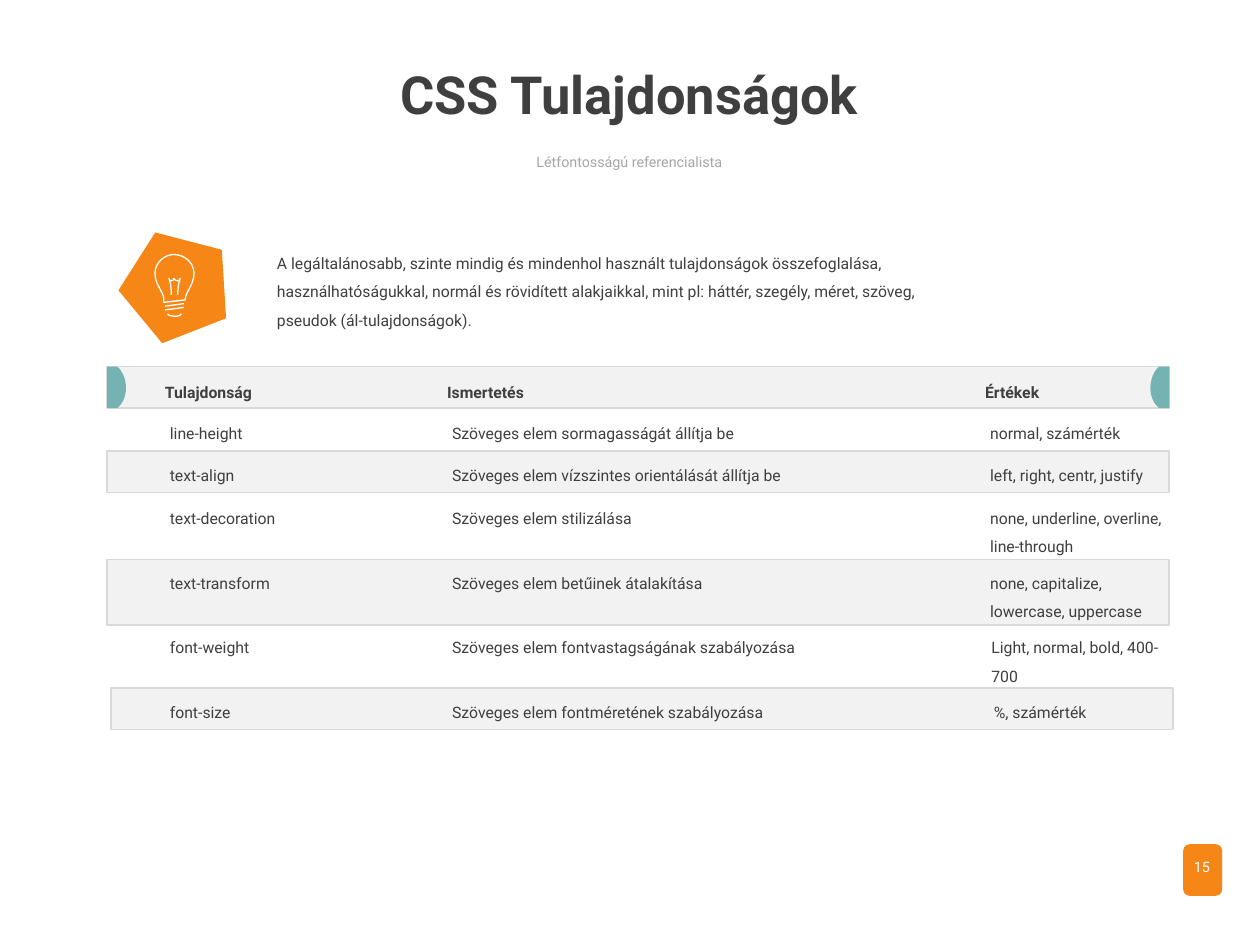
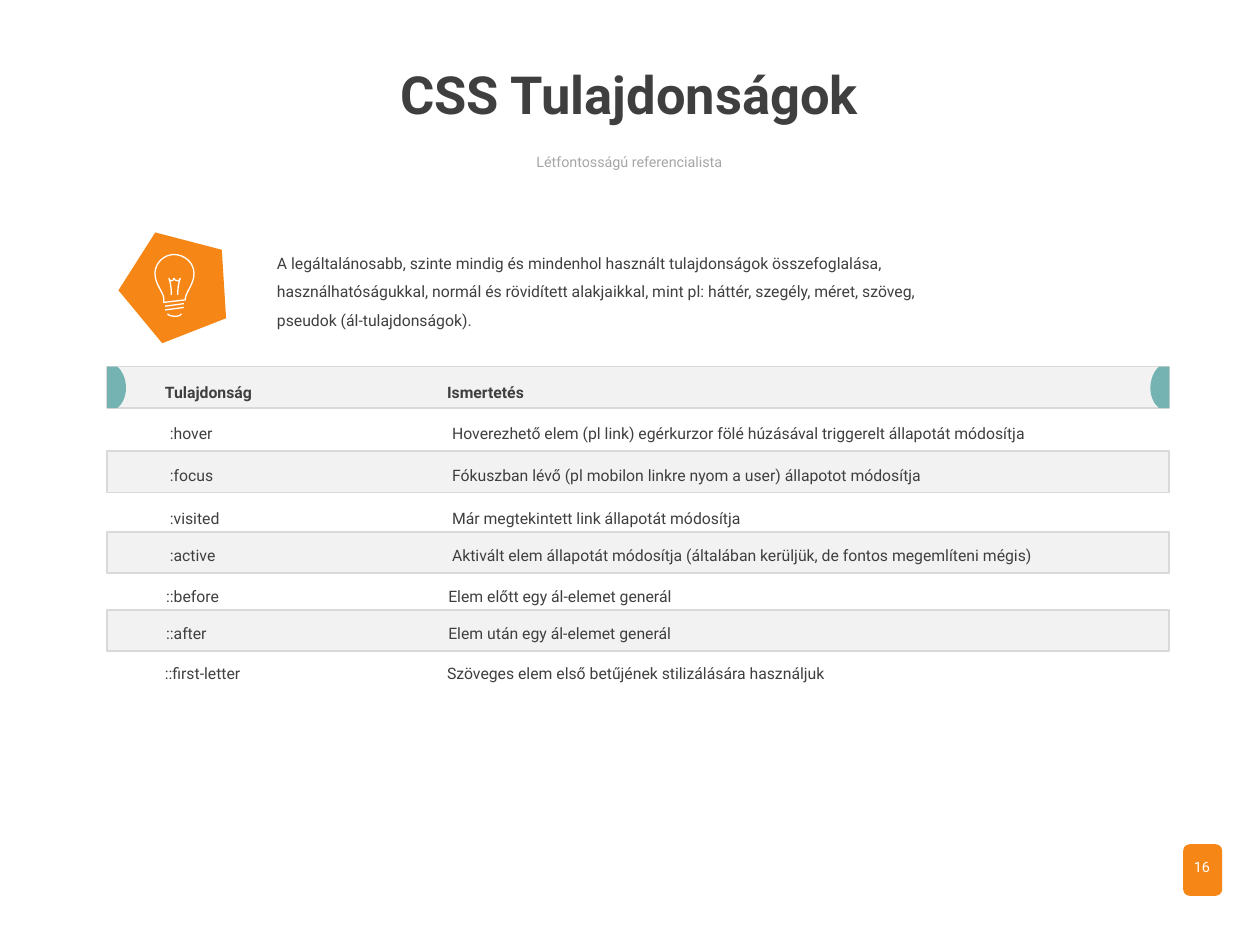
"""Build two slides that list CSS properties and pseudo selectors."""
from dataclasses import dataclass

from lxml.etree import SubElement
from pptx import Presentation
from pptx.dml.color import RGBColor
from pptx.enum.shapes import MSO_CONNECTOR, MSO_SHAPE
from pptx.enum.text import MSO_ANCHOR, MSO_AUTO_SIZE, PP_ALIGN
from pptx.oxml.ns import qn
from pptx.util import Inches, Pt


@dataclass
class Row:
    top: float
    cells: tuple
    lines: int = 1
    indent: float = 0.04
    value_shift: float = 0
    band_shift: float = 0


TITLE = "CSS Tulajdonságok"
SUBTITLE = "Létfontosságú referencialista"
INTRO = (
    "A legáltalánosabb, szinte mindig és mindenhol használt tulajdonságok összefoglalása, "
    "használhatóságukkal, normál és rövidített alakjaikkal, mint pl: háttér, szegély, méret, "
    "szöveg, pseudok (ál-tulajdonságok)."
)
FIRST_PAGE = 15
PAGES = [
    {
        "headings": ("Tulajdonság", "Ismertetés", "Értékek"),
        "widths": (2.24, 4.27, 1.56),
        "rows": [
            Row(3.24, ("line-height", "Szöveges elem sormagasságát állítja be",
                       "normal, számérték")),
            Row(3.57, ("text-align", "Szöveges elem vízszintes orientálását állítja be",
                       "left, right, centr, justify")),
            Row(3.91, ("text-decoration", "Szöveges elem stilizálása",
                       "none, underline, overline, line-through"), lines=2),
            Row(4.43, ("text-transform", "Szöveges elem betűinek átalakítása",
                       "none, capitalize, lowercase, uppercase"), lines=2),
            Row(4.94, ("font-weight", "Szöveges elem fontvastagságának szabályozása",
                       "Light, normal, bold, 400-700"), lines=2, value_shift=0.01),
            Row(5.45, ("font-size", "Szöveges elem fontméretének szabályozása",
                       "%, számérték"), value_shift=0.03, band_shift=0.03),
        ],
    },
    {
        "headings": ("Tulajdonság", "Ismertetés"),
        "widths": (2.24, 5.27),
        "rows": [
            Row(3.24, (":hover", "Hoverezhető elem (pl link) egérkurzor fölé húzásával "
                                 "triggerelt állapotát módosítja")),
            Row(3.57, (":focus", "Fókuszban lévő (pl mobilon linkre nyom a user) "
                                 "állapotot módosítja")),
            Row(3.91, (":visited", "Már megtekintett link állapotát módosítja")),
            Row(4.21, (":active", "Aktivált elem állapotát módosítja (általában kerüljük, "
                                  "de fontos megemlíteni mégis)")),
            Row(4.53, ("::before", "Elem előtt egy ál-elemet generál"), indent=0.01),
            Row(4.83, ("::after", "Elem után egy ál-elemet generál"), indent=0.01),
            Row(5.14, ("::first-letter", "Szöveges elem első betűjének stilizálására "
                                         "használjuk"), indent=0),
        ],
    },
]

COLUMN_LEFTS = (1.21, 3.45, 7.72)
HEADING_WIDTHS = (0.98, 4.27, 1.19)
TABLE_LEFT, TABLE_TOP, TABLE_WIDTH = 0.85, 2.91, 8.43
BAND_HEIGHTS = {1: 0.33, 2: 0.52}
TEXT_HEIGHTS = {1: 0.3, 2: 0.53}
ORANGE, TEAL, BAND, BORDER = "F68616", "75B3B2", "F2F2F2", "D9D9D9"
DARK, GREY, WHITE = "3F3F3F", "A6A6A6", "FFFFFF"

CENTERED = {"alignment": PP_ALIGN.CENTER}
HEADLINE = {**CENTERED, "line_spacing": 0.9, "space_before": Pt(10)}
BODY = {"line_spacing": 1.5}

CAP = [
    [(0.15, 0.17)],
    [(0.15, 0.1), (0.12, 0.03), (0.08, 0)],
    [(0, 0)], [(0, 0.33)], [(0.08, 0.33)],
    [(0.12, 0.3), (0.15, 0.24), (0.15, 0.17)],
]
BULB = [
    [(1.3, 2.4)], [(1.47, 2.38)],
    [(1.47, 2.32), (1.54, 2.26), (1.54, 2.17)],
    [(1.54, 2.09), (1.47, 2.02), (1.38, 2.02)],
    [(1.3, 2.02), (1.23, 2.09), (1.23, 2.17)],
    [(1.23, 2.26), (1.3, 2.32), (1.3, 2.37)],
]
FOOT = [
    [(1.44, 2.49)],
    [(1.44, 2.5), (1.42, 2.51), (1.39, 2.51)],
    [(1.36, 2.51), (1.33, 2.5), (1.33, 2.49)],
]
FILAMENT = [
    [(1.36, 2.34)],
    [(1.36, 2.25), (1.34, 2.21), (1.34, 2.21)],
    [(1.34, 2.22), (1.35, 2.23), (1.36, 2.23)],
    [(1.37, 2.23), (1.38, 2.22), (1.38, 2.21)],
    [(1.38, 2.22), (1.4, 2.23), (1.41, 2.23)],
    [(1.42, 2.23), (1.43, 2.22), (1.43, 2.21)],
    [(1.43, 2.21), (1.41, 2.26), (1.41, 2.34)],
]
THREADS = (2.43, 2.46)


def color(value):
    return RGBColor.from_string(value)


def inches(*values):
    return [Inches(value) for value in values]


def paint(shape, fill=None, line=None, width=1):
    shape.shadow.inherit = False
    if fill:
        shape.fill.solid()
        shape.fill.fore_color.rgb = color(fill)
    else:
        shape.fill.background()
    if line:
        shape.line.color.rgb = color(line)
        shape.line.width = Pt(width)
    else:
        shape.line.fill.background()


def add_block(shapes, kind, at, fill, line=None):
    block = shapes.add_shape(kind, *inches(*at))
    paint(block, fill, line)
    return block


def write(frame, text, size=9, ink=DARK, bold=False, layout=BODY):
    frame.word_wrap = True
    para = frame.paragraphs[0]
    for name, value in layout.items():
        setattr(para, name, value)
    span = para.add_run()
    span.text = text
    for name, value in {"name": "Roboto", "size": Pt(size), "bold": bold}.items():
        setattr(span.font, name, value)
    span.font.color.rgb = color(ink)


def add_text(shapes, at, text, **style):
    box = shapes.add_textbox(*inches(*at))
    write(box.text_frame, text, **style)
    box.text_frame.auto_size = MSO_AUTO_SIZE.SHAPE_TO_FIT_TEXT


def fill_placeholder(box, at, text, **style):
    box.left, box.top, box.width, box.height = inches(*at)
    box.text_frame.vertical_anchor = MSO_ANCHOR.TOP
    box.text_frame.auto_size = MSO_AUTO_SIZE.NONE
    write(box.text_frame, text, layout=HEADLINE, **style)


def add_outline(shapes, segments, close, **style):
    points = [inches(*point) for segment in segments for point in segment]
    builder = shapes.build_freeform(*points[0])
    builder.add_line_segments(points[1:], close=close)
    outline = builder.convert_to_shape()
    paint(outline, **style)
    steps = iter(list(outline._element.iter(qn("a:lnTo"))))
    for segment in segments[1:]:
        parts = [next(steps) for _ in segment]
        if len(parts) == 3:
            curve = parts[0].makeelement(qn("a:cubicBezTo"))
            parts[0].addprevious(curve)
            for part in parts:
                curve.append(part[0])
                part.getparent().remove(part)


def add_bulb(shapes):
    for segments, close in ((BULB, True), (FOOT, False), (FILAMENT, False)):
        add_outline(shapes, segments, close, line=WHITE, width=0.75)
    for top in THREADS:
        thread = shapes.add_connector(MSO_CONNECTOR.STRAIGHT,
                                      *inches(1.31, top, 1.46, top - 0.02))
        thread.line.color.rgb = color(WHITE)
        thread.line.width = Pt(0.75)
        SubElement(thread._element.spPr, qn("a:effectLst"))


def add_band(shapes, left, top, height):
    add_block(shapes, MSO_SHAPE.RECTANGLE, (left, top, TABLE_WIDTH, height), BAND, BORDER)


def add_header(shapes, headings):
    group = shapes.add_group_shape().shapes
    add_band(group, TABLE_LEFT, TABLE_TOP, BAND_HEIGHTS[1])
    for edge, direction in ((TABLE_LEFT, 1), (TABLE_LEFT + TABLE_WIDTH, -1)):
        cap = [[(edge + direction * x, TABLE_TOP + y) for x, y in segment]
               for segment in CAP]
        add_outline(group, cap, True, fill=TEAL)
    for left, width, heading in zip(COLUMN_LEFTS, HEADING_WIDTHS, headings):
        add_text(shapes, (left, TABLE_TOP, width, TEXT_HEIGHTS[1]), heading, bold=True)


def add_rows(shapes, rows, widths):
    for index, row in enumerate(rows):
        if index % 2:
            add_band(shapes, TABLE_LEFT + row.band_shift, row.top + 0.01,
                     BAND_HEIGHTS[row.lines])
        for column, (left, width, cell) in enumerate(zip(COLUMN_LEFTS, widths, row.cells)):
            is_value = column == 2
            shift = row.indent + (row.value_shift if is_value else 0)
            height = TEXT_HEIGHTS[row.lines if is_value else 1]
            add_text(shapes, (left + shift, row.top, width, height), cell)


def add_page(deck, number, content):
    page = deck.slides.add_slide(deck.slide_layouts[0])
    shapes = page.shapes
    fill_placeholder(shapes.title, (2.59, 0.5, 4.81, 0.81), TITLE, size=30, bold=True)
    fill_placeholder(page.placeholders[1], (2.59, 1.18, 4.81, 0.35), SUBTITLE,
                     size=8.2, ink=GREY)
    add_text(shapes, (9.34, 6.76, 0.4, 0.24), str(number), size=8.2, ink=WHITE,
             layout=CENTERED)
    badge = add_block(shapes, MSO_SHAPE.REGULAR_PENTAGON, (1, 1.88, 0.88, 0.84), ORANGE)
    badge.rotation = 122.5
    add_bulb(shapes.add_group_shape().shapes)
    add_text(shapes, (2.1, 1.89, 5.3, 0.76), INTRO)
    add_header(shapes, content["headings"])
    add_rows(shapes, content["rows"], content["widths"])
    return page


def share_number_tab(page):
    tab = add_block(page.shapes, MSO_SHAPE.ROUNDED_RECTANGLE, (9.39, 6.7, 0.31, 0.41), ORANGE)
    page.slide_layout.shapes._spTree.append(tab._element)


def main():
    deck = Presentation()
    deck.slide_width, deck.slide_height = inches(10, 7.5)
    pages = [add_page(deck, number, content)
             for number, content in enumerate(PAGES, FIRST_PAGE)]
    share_number_tab(pages[0])
    deck.save("out.pptx")


if __name__ == "__main__":
    main()
